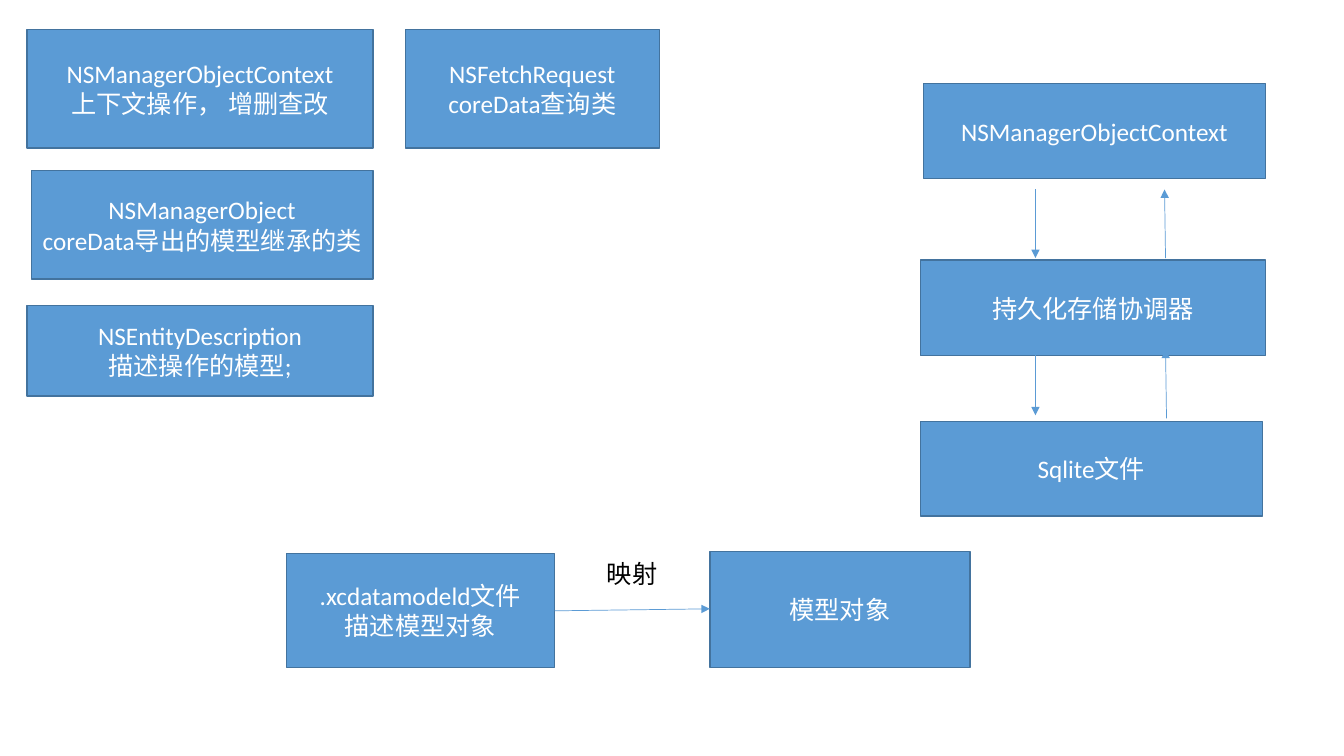
from typing import NamedTuple

from lxml import etree
from pptx import Presentation
from pptx.dml.color import RGBColor
from pptx.enum.shapes import MSO_CONNECTOR, MSO_SHAPE
from pptx.enum.text import MSO_ANCHOR, MSO_AUTO_SIZE, PP_ALIGN
from pptx.oxml.ns import qn
from pptx.slide import Slide
from pptx.text.text import TextFrame
from pptx.util import Inches, Pt

BLUE = RGBColor(0x5B, 0x9B, 0xD5)
EDGE = RGBColor(0x43, 0x73, 0x9E)
WHITE = RGBColor(0xFF, 0xFF, 0xFF)
BLACK = RGBColor(0x00, 0x00, 0x00)
FONT = "Calibri"


class Box(NamedTuple):
    text: str
    left: float
    top: float
    width: float
    height: float


class Arrow(NamedTuple):
    x1: float
    y1: float
    x2: float
    y2: float


CLASSES = [
    Box("NSManagerObjectContext\n上下文操作， 增删查改", 0.27, 0.29, 3.43, 1.18),
    Box("NSFetchRequest\ncoreData查询类", 4.02, 0.29, 2.52, 1.18),
    Box("NSManagerObject\ncoreData导出的模型继承的类", 0.31, 1.69, 3.39, 1.08),
    Box("NSEntityDescription\n描述操作的模型;", 0.27, 3.03, 3.43, 0.9),
]
STACK = [
    Box("NSManagerObjectContext", 9.16, 0.83, 3.39, 0.94),
    Box("持久化存储协调器", 9.13, 2.58, 3.42, 0.95),
    Box("Sqlite文件", 9.13, 4.18, 3.39, 0.94),
]
MAPPING = [
    Box(".xcdatamodeld文件\n描述模型对象", 2.84, 5.49, 2.66, 1.13),
    Box("模型对象", 7.04, 5.47, 2.58, 1.15),
]
LABEL = Box("映射", 5.92, 5.49, 0.71, 0.4)
ARROWS = [
    Arrow(5.5, 6.06, 7.04, 6.04),
    Arrow(10.27, 1.88, 10.27, 2.56),
    Arrow(10.27, 3.5, 10.27, 4.12),
    Arrow(11.57, 4.15, 11.56, 3.47),
    Arrow(11.56, 2.56, 11.55, 1.88),
]


def write(frame: TextFrame, text: str, color: RGBColor, align: PP_ALIGN) -> None:
    frame.text = text
    for para in frame.paragraphs:
        para.alignment = align
        para.font.name = FONT
        para.font.size = Pt(18)
        para.font.color.rgb = color


def draw_box(slide: Slide, box: Box) -> None:
    shape = slide.shapes.add_shape(MSO_SHAPE.RECTANGLE, *map(Inches, box[1:]))
    shape.shadow.inherit = False
    shape.fill.solid()
    shape.fill.fore_color.rgb = BLUE
    shape.line.color.rgb = EDGE
    shape.line.width = Pt(1)
    shape.text_frame.word_wrap = True
    shape.text_frame.vertical_anchor = MSO_ANCHOR.MIDDLE
    write(shape.text_frame, box.text, WHITE, PP_ALIGN.CENTER)


def draw_label(slide: Slide, box: Box) -> None:
    frame = slide.shapes.add_textbox(*map(Inches, box[1:])).text_frame
    frame.word_wrap = False
    frame.auto_size = MSO_AUTO_SIZE.SHAPE_TO_FIT_TEXT
    write(frame, box.text, BLACK, PP_ALIGN.LEFT)


def draw_arrow(slide: Slide, arrow: Arrow) -> None:
    link = slide.shapes.add_connector(MSO_CONNECTOR.STRAIGHT, *map(Inches, arrow))
    link.line.color.rgb = BLUE
    link.line.width = Pt(0.5)
    etree.SubElement(link.line._get_or_add_ln(), qn("a:tailEnd"), type="triangle")
    etree.SubElement(link._element.spPr, qn("a:effectLst"))


def main() -> None:
    deck = Presentation()
    deck.slide_width, deck.slide_height = Inches(13.33), Inches(7.5)
    slide = deck.slides.add_slide(deck.slide_layouts[6])
    for box in CLASSES + STACK + MAPPING:
        draw_box(slide, box)
    draw_label(slide, LABEL)
    for arrow in ARROWS:
        draw_arrow(slide, arrow)
    deck.save("out.pptx")


main()
